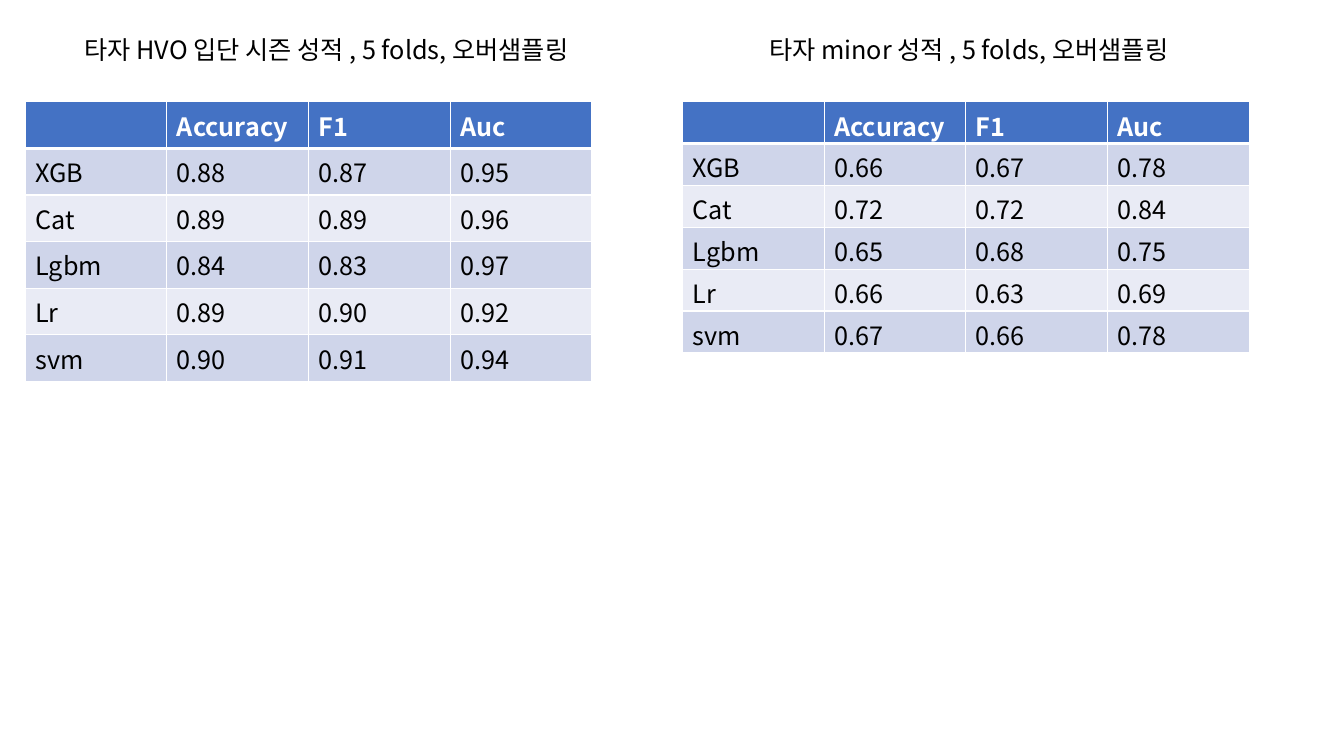
from lxml.etree import SubElement
from pptx import Presentation
from pptx.dml.color import RGBColor
from pptx.enum.text import MSO_AUTO_SIZE as AutoSize
from pptx.oxml.ns import qn
from pptx.util import Inches, Pt

FONT = "Noto Sans CJK KR"
WHITE = RGBColor(0xFF, 0xFF, 0xFF)
BLACK = RGBColor(0, 0, 0)
BLUE = RGBColor(0x44, 0x72, 0xC4)
BANDS = RGBColor(0xE9, 0xEB, 0xF5), RGBColor(0xCF, 0xD5, 0xEA)

HEADER = ("", "Accuracy", "F1", "Auc")
MODELS = ("XGB", "Cat", "Lgbm", "Lr", "svm")
RESULTS = [
    {
        "heading": "타자 HVO 입단 시즌 성적 , 5 folds, 오버샘플링",
        "heading_left": 0.74, "heading_width": 5.49,
        "table_left": 0.25, "bottom_margin": 0.05,
        "scores": [(0.88, 0.87, 0.95), (0.89, 0.89, 0.96), (0.84, 0.83, 0.97),
                   (0.89, 0.90, 0.92), (0.90, 0.91, 0.94)],
    },
    {
        "heading": "타자 minor 성적 , 5 folds, 오버샘플링",
        "heading_left": 7.53, "heading_width": 4.48,
        "table_left": 6.77, "bottom_margin": 0,
        "scores": [(0.66, 0.67, 0.78), (0.72, 0.72, 0.84), (0.65, 0.68, 0.75),
                   (0.66, 0.63, 0.69), (0.67, 0.66, 0.78)],
    },
]


def write(para, text, color, bold=False):
    """Fill a paragraph with text in the slide's font."""
    para.text = text
    font = para.font
    font.name, font.size, font.bold = FONT, Pt(18), bold
    font.color.rgb = color


def set_borders(cell, bottom_width):
    """Draw white lines around a cell, ahead of its fill."""
    properties = cell._tc.get_or_add_tcPr()
    widths = {"a:lnL": 1, "a:lnR": 1, "a:lnT": 1, "a:lnB": bottom_width}
    for tag, width in widths.items():
        line = SubElement(properties, qn(tag), w=str(Pt(width)))
        fill = SubElement(line, qn("a:solidFill"))
        SubElement(fill, qn("a:srgbClr"), val=str(WHITE))


def add_heading(page, result):
    """Place the heading above a results table."""
    box = page.shapes.add_textbox(Inches(result["heading_left"]), Inches(0.29),
                                  Inches(result["heading_width"]), Inches(0.4))
    box.text_frame.word_wrap = False
    box.text_frame.auto_size = AutoSize.SHAPE_TO_FIT_TEXT
    write(box.text_frame.paragraphs[0], result["heading"], BLACK)


def add_results(page, result):
    """Place a banded table of model scores."""
    rows = [HEADER] + [(model, *(f"{score:.2f}" for score in scores))
                       for model, scores in zip(MODELS, result["scores"])]
    table = page.shapes.add_table(len(rows), len(HEADER), Inches(result["table_left"]),
                                  Inches(1.01), Inches(5.62), Inches(2.49)).table
    for row, values in enumerate(rows):
        is_header = row == 0
        for column, value in enumerate(values):
            cell = table.cell(row, column)
            set_borders(cell, 3 if is_header else 1)
            cell.fill.solid()
            cell.fill.fore_color.rgb = BLUE if is_header else BANDS[row % 2]
            cell.margin_bottom = Inches(result["bottom_margin"])
            write(cell.text_frame.paragraphs[0], value,
                  WHITE if is_header else BLACK, is_header)


deck = Presentation()
deck.slide_width, deck.slide_height = Inches(13.33), Inches(7.5)
page = deck.slides.add_slide(deck.slide_layouts[6])
for result in RESULTS:
    add_results(page, result)
    add_heading(page, result)
deck.save("out.pptx")
